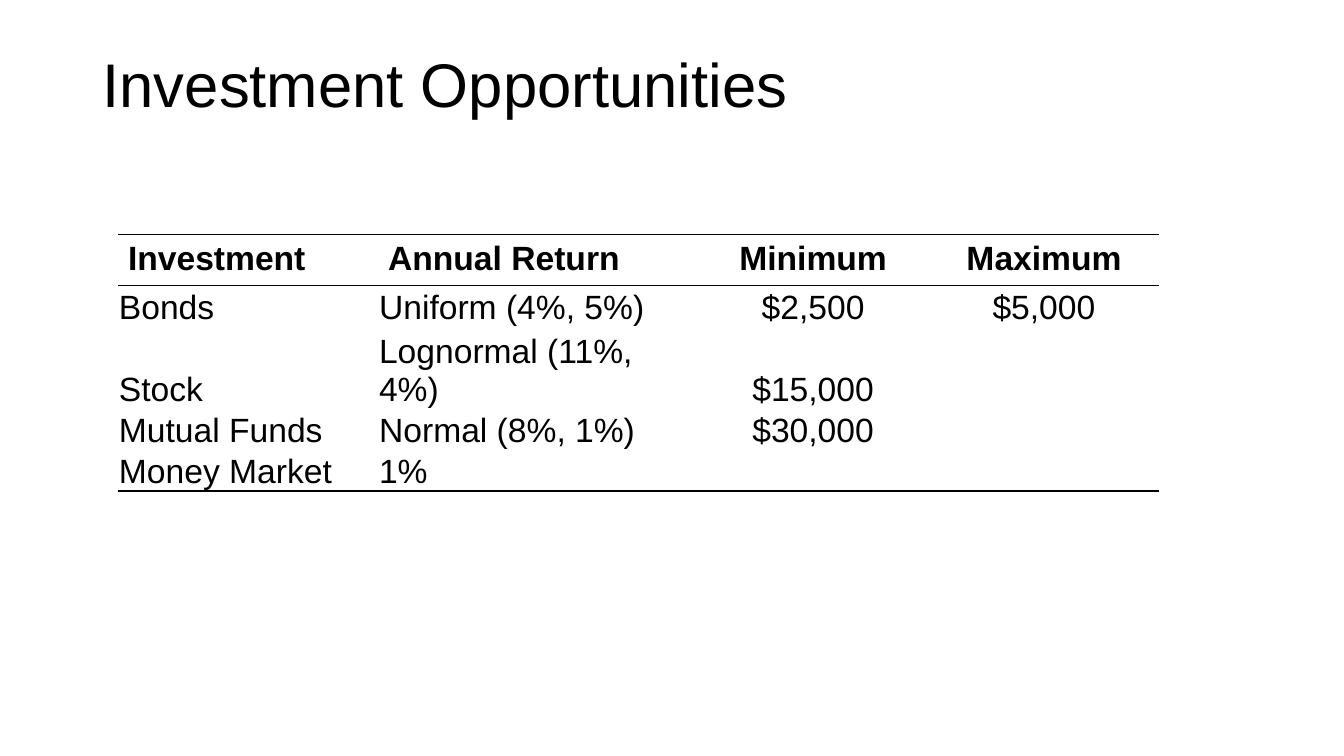
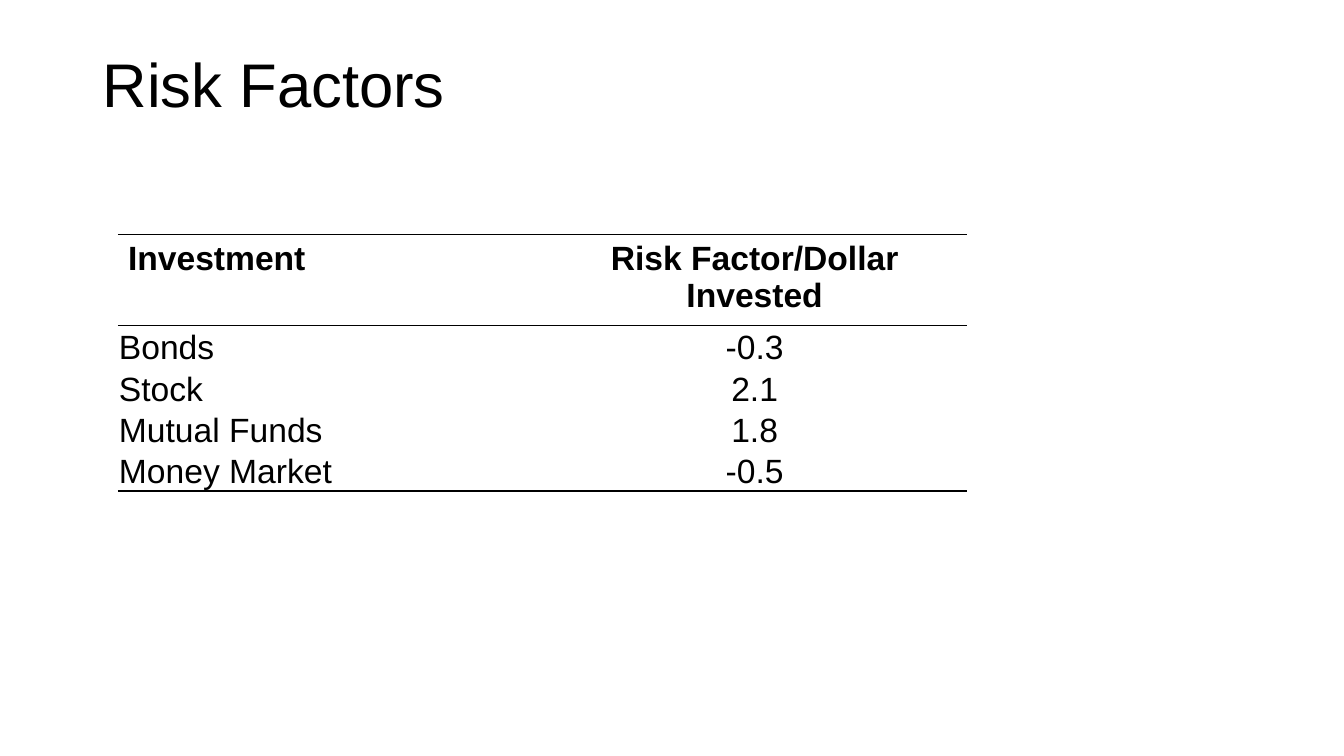
from dataclasses import dataclass
from typing import Any

from lxml import etree
from pptx import Presentation
from pptx.dml.color import RGBColor
from pptx.enum.text import MSO_ANCHOR, PP_ALIGN
from pptx.oxml.ns import qn
from pptx.util import Inches, Pt

LEFT, CENTER = PP_ALIGN.LEFT, PP_ALIGN.CENTER
TOP, MIDDLE, BOTTOM = MSO_ANCHOR.TOP, MSO_ANCHOR.MIDDLE, MSO_ANCHOR.BOTTOM

COLORS = {"text": "000000", "rule": "000000"}
FONT_NAME = "Arial"
TITLE_FONT = {"name": FONT_NAME, "size": Pt(44), "bold": False}
HEADER_FONT = {"name": FONT_NAME, "size": Pt(24), "bold": True}
BODY_FONT = {**HEADER_FONT, "bold": False}
TITLE_FRAME = {"word_wrap": True, "vertical_anchor": MIDDLE}
HEADER_CELL = {
    "vertical_anchor": TOP,
    "margin_left": Inches(0.1), "margin_right": Inches(0.1),
    "margin_top": Inches(0.05), "margin_bottom": Inches(0.05),
}
BODY_CELL = {
    "vertical_anchor": BOTTOM,
    "margin_left": Inches(0.01), "margin_right": Inches(0.01),
    "margin_top": Inches(0.01), "margin_bottom": Inches(0),
}
PLAIN_TABLE = {"first_row": False, "horz_banding": False}
TABLE_LEFT, TABLE_TOP, ROW_HEIGHT = 1.17, 2.33, 0.41


@dataclass(frozen=True)
class Column:
    heading: str
    width: float
    alignment: Any
    values: tuple[str, ...]


@dataclass(frozen=True)
class TableSlide:
    title: str
    columns: tuple[Column, ...]


INVESTMENTS = ("Bonds", "Stock", "Mutual Funds", "Money Market")
SLIDES = (
    TableSlide("Investment Opportunities", (
        Column("Investment", 2.58, LEFT, INVESTMENTS),
        Column("Annual Return", 3.17, LEFT,
               ("Uniform (4%, 5%)", "Lognormal (11%, 4%)", "Normal (8%, 1%)", "1%")),
        Column("Minimum", 2.29, CENTER, ("$2,500", "$15,000", "$30,000", "")),
        Column("Maximum", 2.29, CENTER, ("$5,000", "", "", "")),
    )),
    TableSlide("Risk Factors", (
        Column("Investment", 4.21, LEFT, INVESTMENTS),
        Column("Risk Factor/Dollar Invested", 4.21, CENTER, ("-0.3", "2.1", "1.8", "-0.5")),
    )),
)


def apply_format(target: Any, values: dict[str, Any]) -> None:
    for name, value in values.items():
        setattr(target, name, value)


def write_text(paragraph: Any, text: str, font: dict[str, Any]) -> None:
    run = paragraph.add_run()
    run.text = text
    apply_format(run.font, font)
    run.font.color.rgb = RGBColor.from_string(COLORS["text"])


def add_title(slide: Any, text: str) -> None:
    shape = slide.shapes.add_textbox(Inches(0.92), Inches(0.14), Inches(11.5), Inches(1.45))
    apply_format(shape.text_frame, TITLE_FRAME)
    paragraph = shape.text_frame.paragraphs[0]
    paragraph.line_spacing = 0.9
    write_text(paragraph, text, TITLE_FONT)


def set_border(cell: Any, side: str, visible: bool) -> None:
    properties = cell._tc.get_or_add_tcPr()
    line = etree.SubElement(properties, qn(f"a:ln{side}"), w=str(Pt(1)))
    if visible:
        fill = etree.SubElement(line, qn("a:solidFill"))
        etree.SubElement(fill, qn("a:srgbClr"), val=COLORS["rule"])
    else:
        etree.SubElement(line, qn("a:noFill"))


def add_table(slide: Any, columns: tuple[Column, ...]) -> None:
    row_count = len(columns[0].values) + 1
    ruled_edges = {0, 1, row_count}
    table = slide.shapes.add_table(
        row_count, len(columns), Inches(TABLE_LEFT), Inches(TABLE_TOP),
        Inches(sum(column.width for column in columns)), Inches(ROW_HEIGHT * row_count),
    ).table
    apply_format(table, PLAIN_TABLE)
    for column_index, column in enumerate(columns):
        table.columns[column_index].width = Inches(column.width)
        for row_index, text in enumerate((column.heading, *column.values)):
            cell = table.cell(row_index, column_index)
            is_header = row_index == 0
            apply_format(cell, HEADER_CELL if is_header else BODY_CELL)
            edges = {"L": False, "R": False,
                     "T": row_index in ruled_edges, "B": row_index + 1 in ruled_edges}
            for side, visible in edges.items():
                set_border(cell, side, visible)
            cell.fill.background()
            if text:
                paragraph = cell.text_frame.paragraphs[0]
                paragraph.alignment = column.alignment
                write_text(paragraph, text, HEADER_FONT if is_header else BODY_FONT)


def main() -> None:
    presentation = Presentation()
    apply_format(presentation, {"slide_width": Inches(13.33), "slide_height": Inches(7.5)})
    for content in SLIDES:
        slide = presentation.slides.add_slide(presentation.slide_layouts[6])
        add_title(slide, content.title)
        add_table(slide, content.columns)
    presentation.save("out.pptx")


main()
